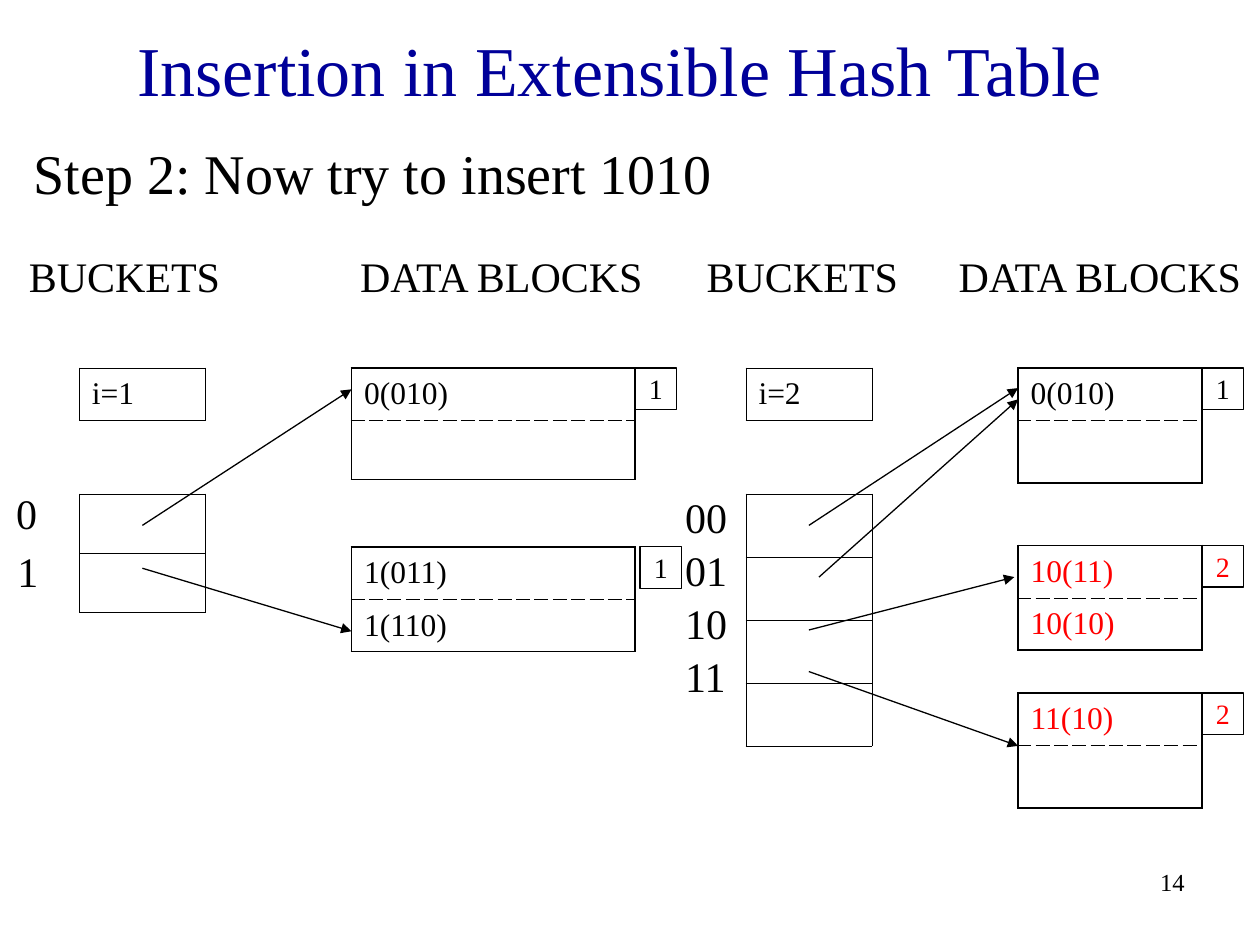
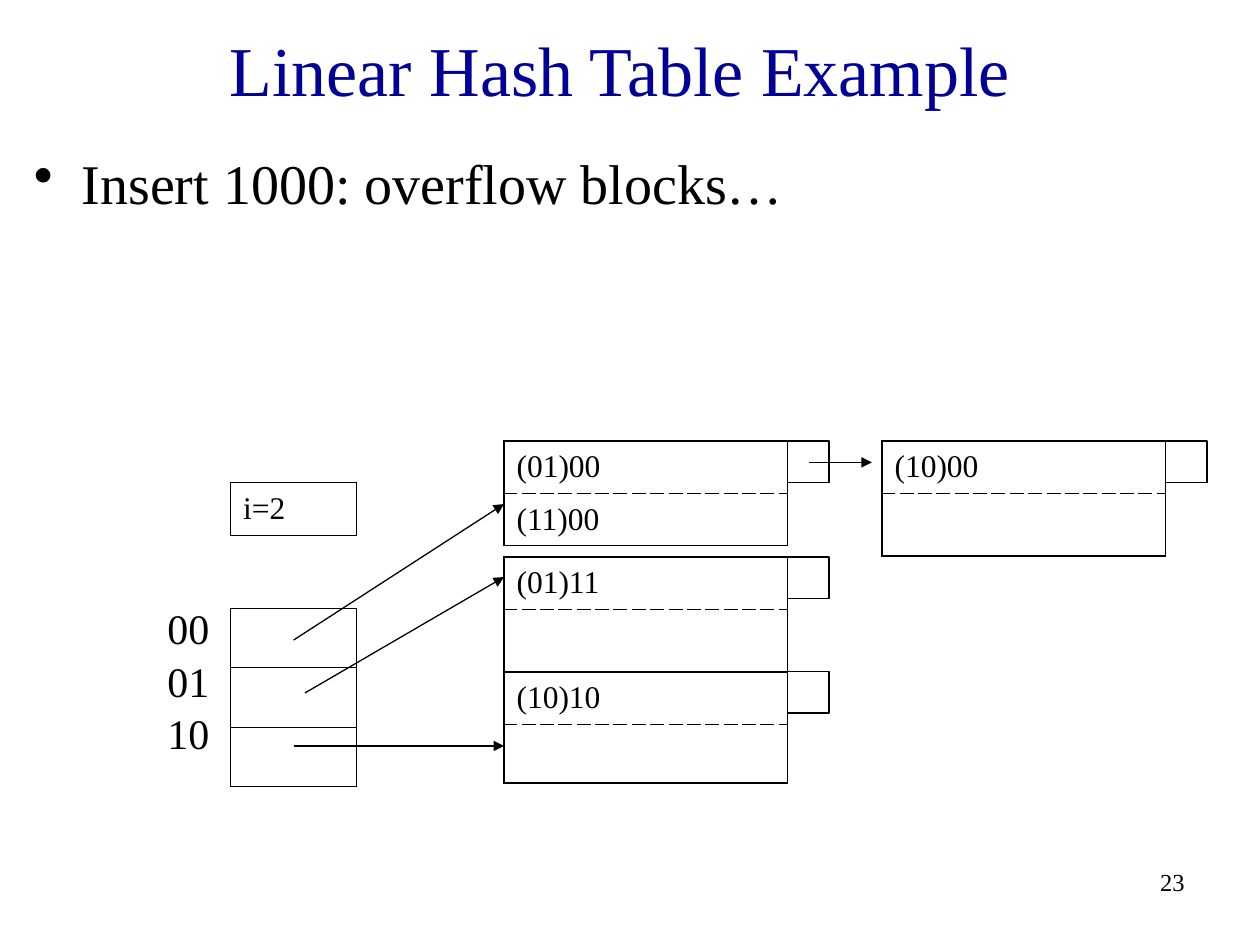
from dataclasses import dataclass

from lxml.etree import SubElement
from pptx import Presentation
from pptx.dml.color import RGBColor
from pptx.enum.shapes import MSO_CONNECTOR, MSO_SHAPE
from pptx.enum.text import MSO_ANCHOR, PP_ALIGN
from pptx.oxml import parse_xml
from pptx.oxml.ns import nsdecls, qn
from pptx.util import Inches, Pt


@dataclass(frozen=True)
class Theme:
    font: str = "Times New Roman"
    ink: str = "000000"
    title: str = "000099"
    changed: str = "FF0000"
    title_size: int = 40
    body_size: int = 32
    label_size: int = 24
    cell_size: int = 18
    tag_size: int = 16
    number_size: int = 14
    thin: float = 0.45
    line: float = 0.75
    thick: float = 1.08


THEME = Theme()
ROW = 0.415      # height of a row that holds a key
TAG = 0.33       # side of the small square beside a block
LABEL_STEP = 0.42


# Text
def write(tf, text, size, color=THEME.ink, align=PP_ALIGN.LEFT,
          anchor=MSO_ANCHOR.TOP, wrap=True, bullet=False):
    tf.word_wrap = wrap
    tf.vertical_anchor = anchor
    p = tf.paragraphs[0]
    p.alignment = align
    if bullet:
        pPr = p._p.get_or_add_pPr()
        pPr.set("marL", str(Inches(0.38)))
        pPr.set("indent", str(-Inches(0.38)))
        SubElement(pPr, qn("a:buChar")).set("char", "•")
    r = p.add_run()
    r.text = text
    r.font.name = THEME.font
    r.font.size = Pt(size)
    r.font.color.rgb = RGBColor.from_string(color)


def add_text(slide, text, x, y, w, h=0.5, size=THEME.label_size, **fmt):
    sp = slide.shapes.add_textbox(Inches(x), Inches(y), Inches(w), Inches(h))
    write(sp.text_frame, text, size, **fmt)


def add_labels(slide, labels, x, y):
    for i, label in enumerate(labels):
        add_text(slide, label, x, y + i * LABEL_STEP, 0.53, wrap=False)


def add_headings(slide, buckets_x, blocks_x):
    add_text(slide, "BUCKETS", buckets_x, 1.94, 1.72, wrap=False)
    add_text(slide, "DATA BLOCKS", blocks_x, 1.94, 2.52, wrap=False)


# Tables
def set_borders(cell, widths, dashed):
    tcPr = cell._tc.get_or_add_tcPr()
    for i, side in enumerate("LRTB"):
        dash = "dash" if side in dashed else "solid"
        tcPr.insert(i, parse_xml(
            f'<a:ln{side} {nsdecls("a")} w="{Pt(widths[side])}">'
            f'<a:solidFill><a:srgbClr val="{THEME.ink}"/></a:solidFill>'
            f'<a:prstDash val="{dash}"/></a:ln{side}>'))


def add_column(slide, x, y, w, texts, empty_h=ROW, color=THEME.ink,
               outer=THEME.thin, dash_inside=False):
    """One-column table; rows without text are empty_h high."""
    heights = [ROW if text else empty_h for text in texts]
    frame = slide.shapes.add_table(len(texts), 1, Inches(x), Inches(y),
                                   Inches(w), Inches(sum(heights)))
    table = frame.table
    table.first_row = table.horz_banding = False
    last = len(texts) - 1
    for i, (text, height) in enumerate(zip(texts, heights)):
        table.rows[i].height = Inches(height)
        cell = table.cell(i, 0)
        cell.fill.background()
        cell.vertical_anchor = MSO_ANCHOR.MIDDLE
        if text:
            write(cell.text_frame, text, THEME.cell_size, color=color,
                  anchor=MSO_ANCHOR.MIDDLE)
        inside = ("T" if i > 0 else "") + ("B" if i < last else "")
        widths = {side: THEME.thin if side in inside else outer
                  for side in "LRTB"}
        set_borders(cell, widths, inside if dash_inside else "")


def add_directory(slide, x, y, depth, count, row_h):
    """Depth cell with the bucket array below it."""
    add_column(slide, x, y, 1, [depth])
    add_column(slide, x, y + 1, 1, [""] * count, empty_h=row_h)


# Shapes and lines
def add_tag(slide, x, y, text, color):
    sp = slide.shapes.add_shape(MSO_SHAPE.RECTANGLE, Inches(x), Inches(y),
                                Inches(TAG), Inches(TAG))
    sp.shadow.inherit = False
    sp.fill.background()
    sp.line.color.rgb = RGBColor.from_string(THEME.ink)
    sp.line.width = Pt(THEME.line)
    if text:
        write(sp.text_frame, text, THEME.tag_size, color=color,
              align=PP_ALIGN.CENTER, anchor=MSO_ANCHOR.MIDDLE, wrap=False)


def add_block(slide, x, y, w, keys, tag="", empty_h=0.5, color=THEME.ink,
              tag_gap=0):
    """Data block with two key slots and its square tag."""
    add_column(slide, x, y, w, keys, empty_h, color, THEME.thick, True)
    add_tag(slide, x + w + tag_gap, y, tag, color)


def add_arrow(slide, x1, y1, x2, y2):
    line = slide.shapes.add_connector(MSO_CONNECTOR.STRAIGHT, Inches(x1),
                                      Inches(y1), Inches(x2), Inches(y2))
    line.line.color.rgb = RGBColor.from_string(THEME.ink)
    line.line.width = Pt(THEME.line)
    SubElement(line.line._get_or_add_ln(), qn("a:tailEnd")).set(
        "type", "triangle")
    SubElement(line._element.spPr, qn("a:effectLst"))


# Slides
def new_slide(prs, title, number):
    slide = prs.slides.add_slide(prs.slide_layouts[5])
    sp = slide.shapes.title
    sp.left, sp.top = Inches(0.17), Inches(0.17)
    sp.width, sp.height = Inches(9.5), Inches(0.75)
    write(sp.text_frame, title, THEME.title_size, color=THEME.title,
          align=PP_ALIGN.CENTER, anchor=MSO_ANCHOR.MIDDLE)
    add_text(slide, number, 7.42, 6.83, 2.08, size=THEME.number_size,
             align=PP_ALIGN.RIGHT)
    return slide


def build_extensible(prs):
    slide = new_slide(prs, "Insertion in Extensible Hash Table", "14")
    add_text(slide, "Step 2: Now try to insert 1010", 0.17, 1.05, 9.5, 0.6,
             size=THEME.body_size)

    # Before the split
    add_headings(slide, 0.13, 2.76)
    add_directory(slide, 0.63, 2.92, "i=1", 2, 0.47)
    add_text(slide, "0", 0.03, 3.82, 0.36, wrap=False)
    add_text(slide, "1", 0.04, 4.28, 0.36, wrap=False)
    add_block(slide, 2.79, 2.92, 2.25, ["0(010)", ""], "1", empty_h=0.47)
    add_block(slide, 2.79, 4.34, 2.25, ["1(011)", "1(110)"], "1",
              tag_gap=0.04)
    add_arrow(slide, 1.13, 4.17, 2.79, 3.09)
    add_arrow(slide, 1.13, 4.51, 2.79, 5.01)

    # After the split
    add_headings(slide, 5.51, 7.51)
    add_directory(slide, 5.92, 2.92, "i=2", 4, 0.5)
    add_labels(slide, ["00", "01", "10", "11"], 5.34, 3.85)
    for y, keys, tag, color in [
            (2.92, ["0(010)", ""], "1", THEME.ink),
            (4.33, ["10(11)", "10(10)"], "2", THEME.changed),
            (5.5, ["11(10)", ""], "2", THEME.changed)]:
        add_block(slide, 8.08, y, 1.46, keys, tag, color=color)
    for ends in [(6.42, 4.17, 8.08, 3.08), (6.5, 4.58, 8.08, 3.17),
                 (6.42, 5, 8.05, 4.58), (6.42, 5.33, 8.08, 5.92)]:
        add_arrow(slide, *ends)


def build_linear(prs):
    slide = new_slide(prs, "Linear Hash Table Example", "23")
    add_text(slide, "Insert 1000: overflow blocks…", 0.17, 1.13, 9.5, 0.6,
             size=THEME.body_size, bullet=True)

    # Directory
    add_directory(slide, 1.83, 3.83, "i=2", 3, 0.47)
    add_labels(slide, ["00", "01", "10"], 1.23, 4.73)

    # Data blocks and the overflow block
    for x, y, keys, empty_h in [
            (4, 3.5, ["(01)00", "(11)00"], 0.5),
            (4, 4.42, ["(01)11", ""], 0.5),
            (4, 5.33, ["(10)10", ""], 0.47),
            (7, 3.5, ["(10)00", ""], 0.5)]:
        add_block(slide, x, y, 2.25, keys, empty_h=empty_h)
    for ends in [(2.33, 5.08, 4, 4), (2.42, 5.5, 4, 4.58),
                 (2.33, 5.92, 4, 5.92), (6.42, 3.67, 6.92, 3.67)]:
        add_arrow(slide, *ends)


def main():
    prs = Presentation()
    prs.slide_width, prs.slide_height = Inches(10), Inches(7.5)
    build_extensible(prs)
    build_linear(prs)
    prs.save("out.pptx")


if __name__ == "__main__":
    main()
